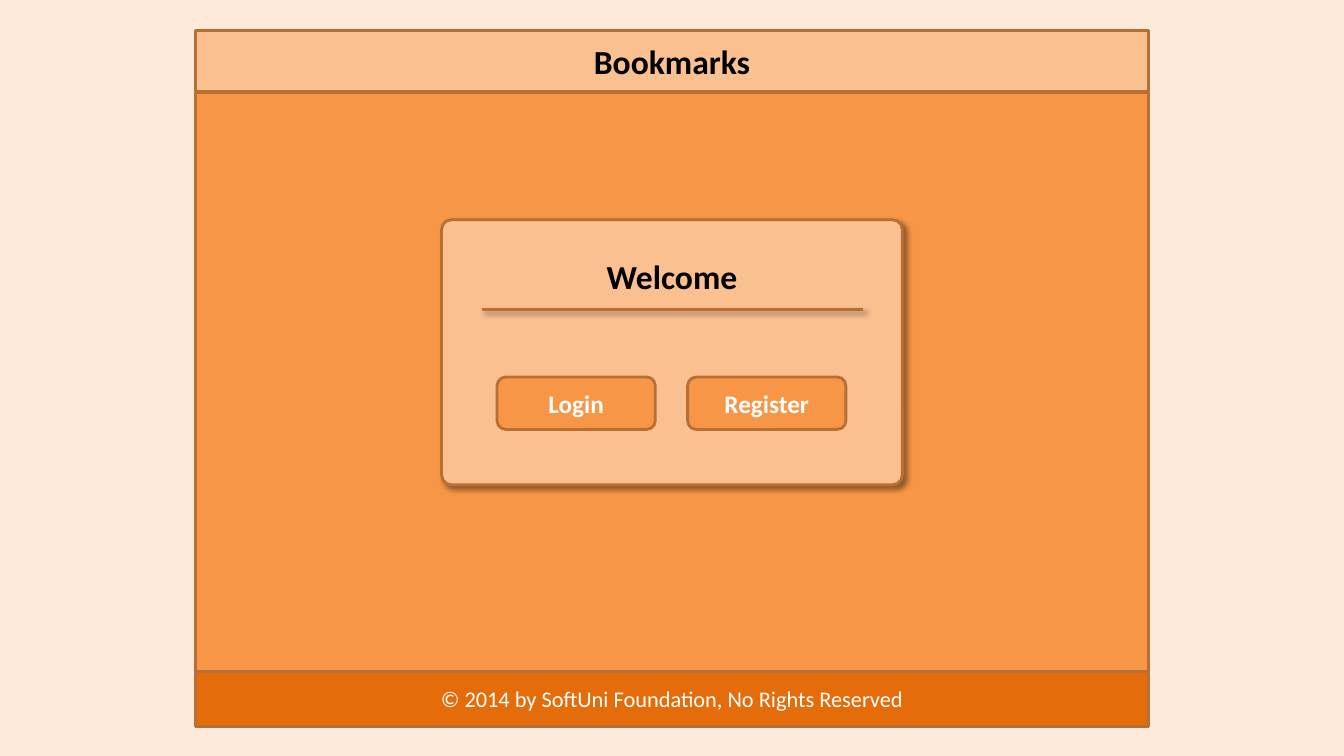
from lxml import etree
from pptx import Presentation
from pptx.dml.color import RGBColor
from pptx.enum import shapes, text
from pptx.oxml import ns
from pptx.util import Inches, Pt

CREAM = RGBColor(0xFD, 0xEA, 0xDA)
PEACH = RGBColor(0xFA, 0xC0, 0x90)
ORANGE = RGBColor(0xF7, 0x96, 0x46)
DARK_ORANGE = RGBColor(0xE4, 0x6C, 0x0A)
BROWN = RGBColor(0xB7, 0x6F, 0x34)
BLACK = RGBColor(0, 0, 0)
WHITE = RGBColor(0xFF, 0xFF, 0xFF)
RECT = shapes.MSO_SHAPE.RECTANGLE
ROUND = shapes.MSO_SHAPE.ROUNDED_RECTANGLE


def write(sp, words, size, color, bold):
    tf = sp.text_frame
    tf.word_wrap = True
    tf.text = words
    p = tf.paragraphs[0]
    p.alignment = text.PP_ALIGN.CENTER
    font = p.runs[0].font
    font.name = "Calibri"
    font.size = Pt(size)
    font.bold = bold
    font.color.rgb = color


def add_box(s, kind, left, top, width, height, fill):
    sp = s.shapes.add_shape(kind, Inches(left), Inches(top), Inches(width), Inches(height))
    sp.shadow.inherit = False
    sp.fill.solid()
    sp.fill.fore_color.rgb = fill
    sp.line.color.rgb = BROWN
    sp.line.width = Pt(2)
    sp.text_frame.vertical_anchor = text.MSO_ANCHOR.MIDDLE
    return sp


prs = Presentation()
prs.slide_width = Inches(13.33)
prs.slide_height = Inches(7.5)
s = prs.slides.add_slide(prs.slide_layouts[6])
s.background.fill.solid()
s.background.fill.fore_color.rgb = CREAM

add_box(s, RECT, 1.94, 0.92, 9.45, 5.75, ORANGE)
header = add_box(s, RECT, 1.94, 0.3, 9.45, 0.61, PEACH)
write(header, "Bookmarks", 24, BLACK, True)
footer = add_box(s, RECT, 1.94, 6.66, 9.45, 0.55, DARK_ORANGE)
write(footer, "© 2014 by SoftUni Foundation, No Rights Reserved", 16, WHITE, False)

panel = add_box(s, ROUND, 4.38, 2.18, 4.57, 2.63, PEACH)
panel.adjustments[0] = 0.037

for label, left in (("Register", 6.82), ("Login", 4.93)):
    button = add_box(s, ROUND, left, 3.74, 1.57, 0.52, ORANGE)
    write(button, label, 18, WHITE, True)

divider = s.shapes.add_connector(
    shapes.MSO_CONNECTOR.STRAIGHT, Inches(4.78), Inches(3.07), Inches(8.56), Inches(3.07))
divider.line.color.rgb = BROWN
divider.line.width = Pt(2)
etree.SubElement(divider.element.spPr, ns.qn("a:effectLst"))

for sp in (panel, divider):
    effects = sp.element.spPr.find(ns.qn("a:effectLst"))
    shadow = etree.SubElement(effects, ns.qn("a:outerShdw"), blurRad=str(Pt(4)),
                              dist=str(Pt(3)), dir="2700000", algn="tl", rotWithShape="0")
    color = etree.SubElement(shadow, ns.qn("a:srgbClr"), val="000000")
    etree.SubElement(color, ns.qn("a:alpha"), val="40000")

welcome = s.shapes.add_textbox(Inches(4.62), Inches(2.49), Inches(4.09), Inches(0.5))
write(welcome, "Welcome", 24, BLACK, True)
welcome.text_frame.auto_size = text.MSO_AUTO_SIZE.SHAPE_TO_FIT_TEXT

prs.save("out.pptx")
